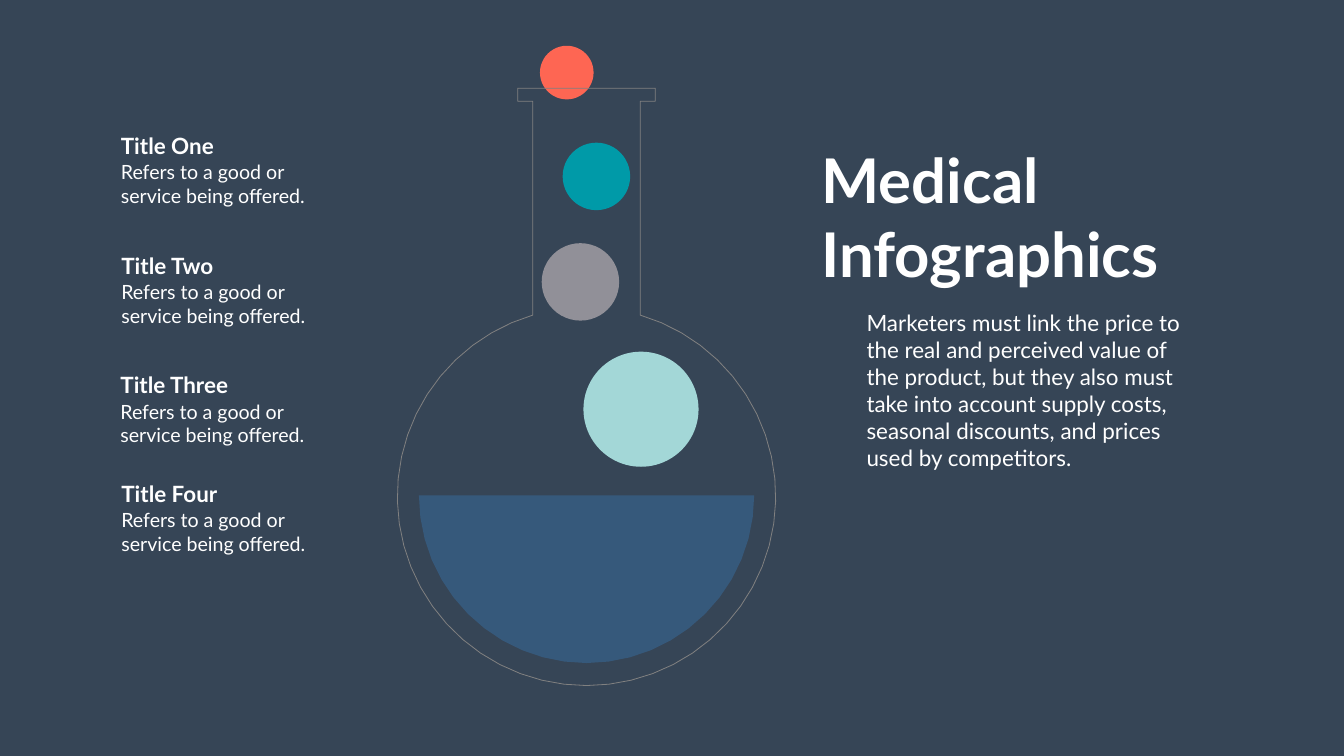
import math
from pptx import Presentation
from pptx import util as u
from pptx.dml import color
from pptx.enum import shapes, text

MID = 837.7
WHITE = "FFFFFF"
BUBBLES = [
    (915.5, 584.6, 82.2, "A3D7D7"),
    (829, 402.7, 55.3, "919098"),
    (851.8, 252, 48.2, "009AA8"),
]
ROWS = [
    ("One", 165.6, 185, 149),
    ("Two", 166.3, 356.4, 151.2),
    ("Three", 164.9, 527, 171.4),
    ("Four", 166.3, 682, 154.1),
]


def rgb(code):
    return color.RGBColor.from_string(code)


def paint(shape, fill=None, line=None):
    shape.shadow.inherit = False
    if fill:
        shape.fill.solid()
        shape.fill.fore_color.rgb = rgb(fill)
    else:
        shape.fill.background()
    if line:
        shape.line.color.rgb = rgb(line)
        shape.line.width = u.Pt(1.16)
    else:
        shape.line.fill.background()


def bubble(slide, x, y, r, fill):
    box = [u.Pt(v) for v in (x - r, y - r, 2 * r, 2 * r)]
    paint(slide.shapes.add_shape(shapes.MSO_SHAPE.OVAL, *box), fill)


def arc(y, r, start, end, steps):
    turns = [math.radians(start + (end - start) * i / steps) for i in range(steps + 1)]
    return [(MID + r * math.cos(a), y + r * math.sin(a)) for a in turns]


def outline(slide, dots, fill=None, line=None):
    spots = [(u.Pt(x), u.Pt(y)) for x, y in dots]
    form = slide.shapes.build_freeform(*spots[0], scale=1.0)
    form.add_line_segments(spots[1:], close=True)
    paint(form.convert_to_shape(), fill, line)


def flask(slide):
    y, r, neck, lip = 709.2, 270.2, 76.7, 98.3
    tilt = math.degrees(math.asin(neck / r))
    top = [(-neck, 144.7), (-lip, 144.7), (-lip, 126), (lip, 126), (lip, 144.7), (neck, 144.7)]
    dots = [(MID + x, h) for x, h in top]
    outline(slide, dots + arc(y, r, tilt - 90, 270 - tilt, 48), line="808080")
    outline(slide, arc(707.8, 239.4, 0, 180, 24), fill="36597B")


def label(slide, lines, box, size, bold=False, wrap=False):
    frame = slide.shapes.add_textbox(*[u.Pt(v) for v in box]).text_frame
    frame.word_wrap = wrap
    frame.auto_size = text.MSO_AUTO_SIZE.SHAPE_TO_FIT_TEXT
    for i, line in enumerate(lines):
        para = frame.add_paragraph() if i else frame.paragraphs[0]
        run = para.add_run()
        run.text = line
        run.font.name = "Lato"
        run.font.size = u.Pt(size)
        run.font.bold = bold
        run.font.color.rgb = rgb(WHITE)


def main():
    deck = Presentation()
    deck.slide_width, deck.slide_height = u.Pt(1919.5), u.Pt(1080)
    slide = deck.slides.add_slide(deck.slide_layouts[6])
    back = slide.background.fill
    back.solid()
    back.fore_color.rgb = rgb("364556")

    bubble(slide, 809.5, 103.7, 38.3, "FE6653")
    flask(slide)
    for item in BUBBLES:
        bubble(slide, *item)

    body = (
        "Marketers must link the price to the real and perceived value of the product, "
        "but they also must take into account supply costs, seasonal discounts, "
        "and prices used by competitors."
    )
    label(slide, [body], (1230.5, 438.5, 465, 239.8), 32, wrap=True)
    label(slide, ["Medical", "Infographics"], (1166.4, 199.8, 508.3, 220.3), 88, bold=True)
    for name, x, y, wide in ROWS:
        lines = ["Refers to a good or", "service being offered."]
        label(slide, lines, (x, y + 40.2, 283, 74.9), 28)
        label(slide, [f"Title {name}"], (x, y, wide, 46), 32, bold=True)

    deck.save("out.pptx")


if __name__ == "__main__":
    main()
